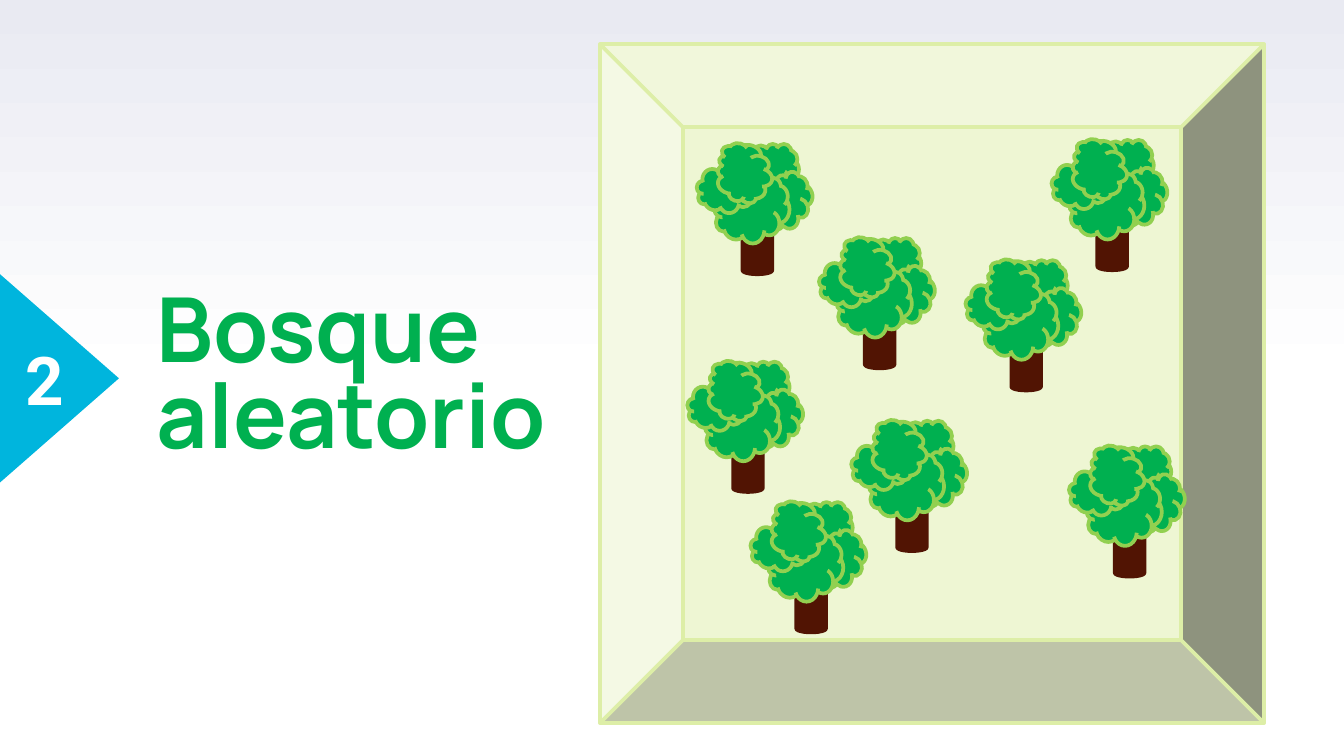
from dataclasses import dataclass

from pptx import Presentation
from pptx.dml.color import RGBColor
from pptx.enum.shapes import MSO_SHAPE
from pptx.enum.text import MSO_ANCHOR, PP_ALIGN
from pptx.util import Pt

PX = 4572  # EMU per px, 200 px to the inch
SLIDE_SIZE = (2000, 1125)
BLANK_LAYOUT = 6

BEVEL, CAN = MSO_SHAPE.BEVEL, MSO_SHAPE.CAN
CLOUD, TRIANGLE = MSO_SHAPE.CLOUD, MSO_SHAPE.ISOSCELES_TRIANGLE
MIDDLE, BOTTOM = MSO_ANCHOR.MIDDLE, MSO_ANCHOR.BOTTOM
LEFT, CENTER = PP_ALIGN.LEFT, PP_ALIGN.CENTER


@dataclass(frozen=True)
class Theme:
    sky: str = "E9EAF2"
    white: str = "FFFFFF"
    marker: str = "00B5DD"
    frame: str = "EEF6D3"
    frame_line: str = "DDEEA7"
    green: str = "00B050"
    leaf_line: str = "92D050"
    trunk: str = "511403"
    title_font: str = "Manrope"
    number_font: str = "Roboto"
    title_size: int = 48
    number_size: int = 36
    line_width: int = 2


THEME = Theme()

TREE_SIZE = (174, 194)
TRUNK = (68, 130, 44, 64)
# left, top, width, height within the tree, then rotation; back to front
LEAVES = [
    (52, 0, 100, 78, 0),
    (82, 48, 92, 80, 341.1),
    (26, 50, 112, 98, 0),
    (0, 31, 94, 72, 0),
    (28, 2, 86, 84, 286.3),
]
# left, top within the forest frame
TREE_POSITIONS = [
    (144, 148), (224, 681), (544, 321), (672, 142),
    (326, 288), (698, 598), (374, 560), (130, 472),
]


def emu(*lengths):
    return [round(length * PX) for length in lengths]


def color(value):
    return RGBColor.from_string(value)


def add_filled_shape(shapes, kind, box, fill, line=None, rotation=0):
    shape = shapes.add_shape(kind, *emu(*box))
    shape.shadow.inherit = False
    shape.rotation = rotation
    shape.fill.solid()
    shape.fill.fore_color.rgb = color(fill)
    if line:
        shape.line.color.rgb = color(line)
        shape.line.width = Pt(THEME.line_width)
    else:
        shape.line.fill.background()


def add_text(slide, box, text, font_name, size, fill, anchor, alignment, inset=0, spacing=1.0):
    frame = slide.shapes.add_textbox(*emu(*box)).text_frame
    frame.word_wrap = True
    frame.vertical_anchor = anchor
    margin, = emu(inset)
    frame.margin_left = frame.margin_right = margin
    frame.margin_top = frame.margin_bottom = margin
    paragraph = frame.paragraphs[0]
    paragraph.text = text
    paragraph.alignment = alignment
    paragraph.line_spacing = spacing
    paragraph.font.name = font_name
    paragraph.font.size = Pt(size)
    paragraph.font.bold = True
    paragraph.font.color.rgb = color(fill)


def paint_background(slide):
    """White lower half, fading to the sky colour at the top."""
    fill = slide.background.fill
    fill.gradient()
    fill.gradient_angle = 90
    stops = [(0.5, THEME.white), (1.0, THEME.sky)]
    for stop, (position, value) in zip(fill.gradient_stops, stops):
        stop.position = position
        stop.color.rgb = color(value)


def add_section_marker(slide, box, number):
    """Arrowhead pointing right from the slide edge, with the section number."""
    left, top, width, height = box
    # The triangle is turned a quarter, so its own width is the box height.
    triangle_box = (left + (width - height) / 2, top + (height - width) / 2, height, width)
    add_filled_shape(slide.shapes, TRIANGLE, triangle_box, THEME.marker, rotation=90)
    add_text(slide, (left, top, 134, height), str(number), THEME.number_font,
             THEME.number_size, THEME.white, MIDDLE, CENTER, inset=20)


def add_title(slide, box, text):
    add_text(slide, box, text, THEME.title_font, THEME.title_size, THEME.green,
             BOTTOM, LEFT, spacing=0.8)


def add_tree(slide, box):
    left, top, width, height = box
    scale_x, scale_y = width / TREE_SIZE[0], height / TREE_SIZE[1]

    def place(x, y, part_width, part_height):
        return (left + x * scale_x, top + y * scale_y,
                part_width * scale_x, part_height * scale_y)

    shapes = slide.shapes.add_group_shape().shapes
    add_filled_shape(shapes, CAN, place(*TRUNK), THEME.trunk, THEME.trunk)
    for *leaf_box, rotation in LEAVES:
        add_filled_shape(shapes, CLOUD, place(*leaf_box), THEME.green, THEME.leaf_line, rotation)


def add_forest(slide, box):
    """Bevelled frame with trees scattered inside it."""
    left, top = box[:2]
    add_filled_shape(slide.shapes, BEVEL, box, THEME.frame, THEME.frame_line)
    for x, y in TREE_POSITIONS:
        add_tree(slide, (left + x, top + y, *TREE_SIZE))


def main():
    presentation = Presentation()
    presentation.slide_width, presentation.slide_height = emu(*SLIDE_SIZE)
    slide = presentation.slides.add_slide(presentation.slide_layouts[BLANK_LAYOUT])
    paint_background(slide)
    add_section_marker(slide, (0, 408, 177, 310), 2)
    add_forest(slide, (893, 66, 988, 1010))
    add_title(slide, (233, 439, 726, 254), "Bosque aleatorio")
    presentation.save("out.pptx")


if __name__ == "__main__":
    main()
